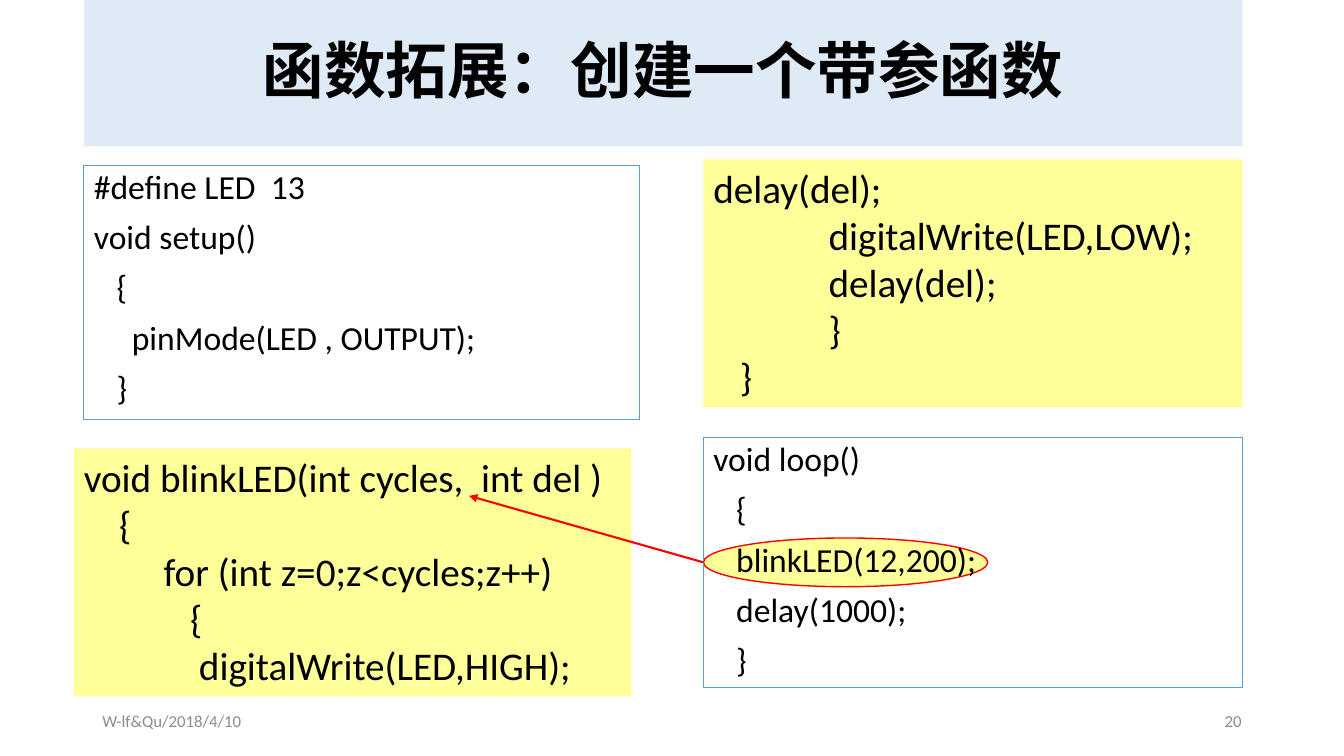
from lxml.etree import SubElement
from pptx import Presentation
from pptx.dml.color import RGBColor
from pptx.enum.shapes import MSO_CONNECTOR, MSO_SHAPE
from pptx.enum.text import MSO_ANCHOR, MSO_AUTO_SIZE, PP_ALIGN
from pptx.oxml.ns import qn
from pptx.util import Pt

TITLE = "函数拓展：创建一个带参函数"
SETUP = ["#define LED  13", "void setup()", "   {", "     pinMode(LED , OUTPUT);", "   }"]
LOOP = ["void loop()", "   {", "   blinkLED(12,200);", "   delay(1000);", "   }"]
BLINK_START = [
    "void blinkLED(int cycles,  int del )",
    "    {",
    "         for (int z=0;z<cycles;z++)",
    "            {",
    "             digitalWrite(LED,HIGH);",
]
BLINK_END = [
    "delay(del);",
    "             digitalWrite(LED,LOW);",
    "             delay(del);",
    "             }",
    "   }",
]
FOOTER, NUMBER = "W-lf&Qu/2018/4/10", "20"

THEME = dict(
    font="Calibri", ink="000000", muted="8C8C8C", band="DEEBF7", yellow="FFFF99",
    border="5B9BD5", red="FF0000", title=44, code=24, blink=28, small=12,
)
LEFT, RIGHT, COL, EDGE = 60, 502.5, 385, 887.5
BLINK_H, FOOT_Y, FOOT_W, FOOT_H = 177.2, 500.5, 216, 28.8
CALL = (RIGHT, 384.3, 203, 34.8)
PARAMS = (335, 354.2)


def color(name):
    return RGBColor.from_string(THEME[name])


def write(shape, lines, size, ink="ink", bold=False, align=PP_ALIGN.LEFT,
          anchor=MSO_ANCHOR.TOP, spacing=1.0, before=0):
    tf = shape.text_frame
    tf.word_wrap = True
    tf.auto_size = MSO_AUTO_SIZE.NONE
    tf.vertical_anchor = anchor
    for i, line in enumerate(lines):
        p = tf.paragraphs[0] if i == 0 else tf.add_paragraph()
        p.alignment, p.line_spacing = align, spacing
        p.space_before = Pt(before if i else 0)
        r = p.add_run()
        r.text = line
        r.font.name, r.font.size, r.font.bold = THEME["font"], Pt(THEME[size]), bold
        r.font.color.rgb = color(ink)


def paint(shape, fill=None, line=None, width=0.75):
    if fill:
        shape.fill.solid()
        shape.fill.fore_color.rgb = color(fill)
    else:
        shape.fill.background()
    if line:
        shape.line.color.rgb = color(line)
        shape.line.width = Pt(width)
    else:
        shape.line.fill.background()


def place(shape, x, y, w, h):
    shape.left, shape.top, shape.width, shape.height = Pt(x), Pt(y), Pt(w), Pt(h)


def add_text(s, box, lines, fill=None, line=None, **fmt):
    sp = s.shapes.add_textbox(*map(Pt, box))
    paint(sp, fill, line)
    write(sp, lines, **fmt)


def add_arrow(s, start, end):
    arrow = s.shapes.add_connector(MSO_CONNECTOR.STRAIGHT, *map(Pt, start + end))
    arrow.line.color.rgb = color("red")
    arrow.line.width = Pt(1.5)
    SubElement(arrow.line._get_or_add_ln(), qn("a:tailEnd"), type="triangle")
    SubElement(arrow._element.spPr, qn("a:effectLst"))


def main():
    prs = Presentation()
    prs.slide_width, prs.slide_height = Pt(960), Pt(540)
    s = prs.slides.add_slide(prs.slide_layouts[5])

    title = s.shapes.title
    place(title, LEFT, 0, EDGE - LEFT, 104.4)
    paint(title, "band")
    write(title, [TITLE], "title", bold=True, align=PP_ALIGN.CENTER,
          anchor=MSO_ANCHOR.MIDDLE, spacing=0.9)

    call = s.shapes.add_shape(MSO_SHAPE.OVAL, *map(Pt, CALL))
    call.shadow.inherit = False
    paint(call, "yellow", "red", 1)

    for box, lines in [((LEFT, 118, 396.5, 181.5), SETUP),
                       ((RIGHT, 312.5, COL, 178.5), LOOP)]:
        add_text(s, box, lines, line="border", size="code", spacing=0.9, before=10)

    for box, lines in [((52.8, 320.2, 398.2, BLINK_H), BLINK_START),
                       ((RIGHT, 113.8, COL, BLINK_H), BLINK_END)]:
        add_text(s, box, lines, fill="yellow", size="blink")

    x, y, _, h = CALL
    add_arrow(s, (x, y + h / 2), PARAMS)

    for x, line, align in [(66, FOOTER, PP_ALIGN.LEFT), (678, NUMBER, PP_ALIGN.RIGHT)]:
        add_text(s, (x, FOOT_Y, FOOT_W, FOOT_H), [line], size="small", ink="muted",
                 align=align, anchor=MSO_ANCHOR.MIDDLE)

    prs.save("out.pptx")


if __name__ == "__main__":
    main()
